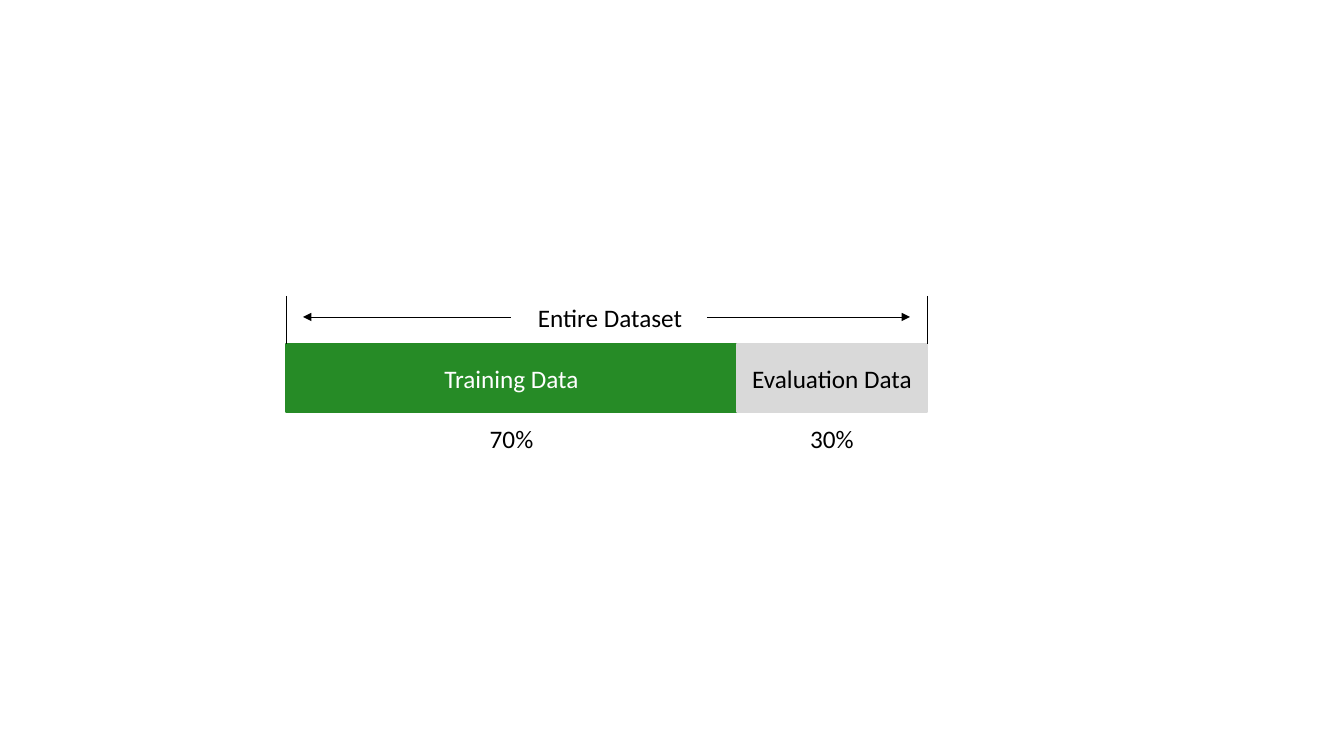
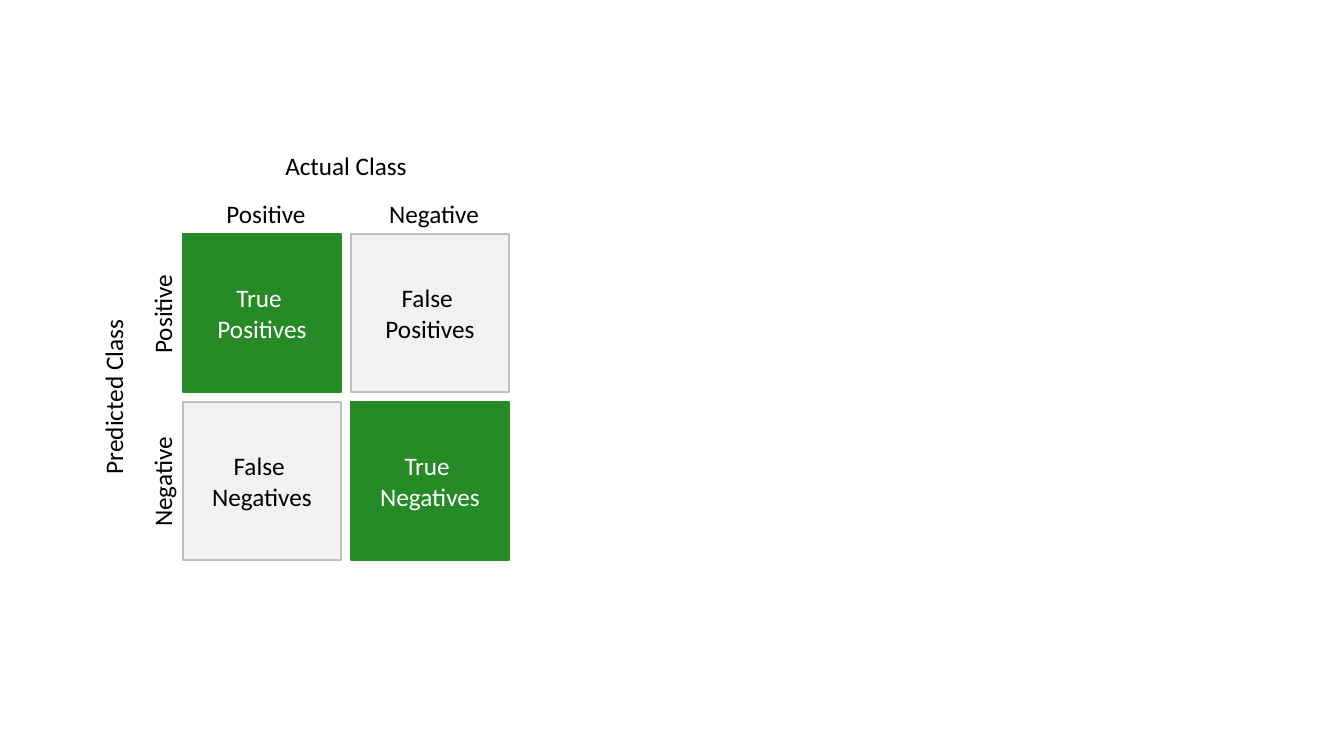
from pptx import Presentation
from pptx.dml.color import RGBColor
from pptx.enum.shapes import MSO_CONNECTOR as CONN, MSO_SHAPE as SHAPE
from pptx.enum.text import MSO_ANCHOR as ANCHOR, MSO_AUTO_SIZE as AUTO, PP_ALIGN as ALIGN
from pptx.oxml.ns import qn
from pptx.util import Emu, Pt
from lxml.etree import SubElement

PX_PER_INCH = 100.8
FONT, SIZE = "Calibri", 18
LABEL_H = 40
C = {
    "green": "268B26",
    "grey": "D9D9D9",
    "pale": "F2F2F2",
    "edge": "BFBFBF",
    "black": "000000",
    "white": "FFFFFF",
}


def px(n):
    """Turn pixels into EMU."""
    return Emu(round(n * 914400 / PX_PER_INCH))


def rgb(name):
    """Look up a palette colour."""
    return RGBColor.from_string(C[name])


def set_text(tf, text, color="black"):
    """Write centred text in the shared font."""
    tf.text = text
    for p in tf.paragraphs:
        p.alignment = ALIGN.CENTER
        for r in p.runs:
            r.font.name, r.font.size = FONT, Pt(SIZE)
            r.font.color.rgb = rgb(color)


def box(s, text, x, y, w, h, fill, edge, color):
    """Add a filled rectangle with text in its middle."""
    sp = s.shapes.add_shape(SHAPE.RECTANGLE, px(x), px(y), px(w), px(h))
    sp.shadow.inherit = False
    sp.fill.solid()
    sp.fill.fore_color.rgb = rgb(fill)
    sp.line.color.rgb = rgb(edge)
    sp.line.width = Pt(1)
    sp.text_frame.vertical_anchor = ANCHOR.MIDDLE
    set_text(sp.text_frame, text, color)


def label(s, text, cx, cy, w, rotation=0):
    """Add a one-line label centred on a point."""
    sp = s.shapes.add_textbox(px(cx - w / 2), px(cy - LABEL_H / 2), px(w), px(LABEL_H))
    sp.rotation = rotation
    tf = sp.text_frame
    tf.word_wrap = False
    tf.auto_size = AUTO.SHAPE_TO_FIT_TEXT
    set_text(tf, text)


def line(s, x1, y1, x2, y2, arrow=False):
    """Add a thin black line, with an arrowhead at its end if asked."""
    cn = s.shapes.add_connector(CONN.STRAIGHT, px(x1), px(y1), px(x2), px(y2))
    cn.line.color.rgb = rgb("black")
    cn.line.width = Pt(0.5)
    if arrow:
        SubElement(cn.line._get_or_add_ln(), qn("a:tailEnd"), type="triangle")
    SubElement(cn._element.spPr, qn("a:effectLst"))


def dataset_split(s):
    """Draw the dataset bar, its shares and its span."""
    left, top, height = 286, 344, 68
    span_top, span_y = 296, 317
    parts = [
        ("Training Data", "70%", 451, "green", "white"),
        ("Evaluation Data", "30%", 190, "grey", "black"),
    ]
    x = left
    for name, share, w, fill, color in parts:
        box(s, name, x, top, w, height, fill, fill, color)
        label(s, share, x + w / 2, 438, 64)
        x += w
    for end in (left, x):
        line(s, end, span_top, end, top)
    label(s, "Entire Dataset", 610, span_y, 166)
    line(s, 707, span_y, 910, span_y, arrow=True)
    line(s, 511, span_y, 303, span_y, arrow=True)


def confusion_matrix(s):
    """Draw the two-by-two matrix with its class labels."""
    left, top, cell, pitch = 183, 234, 158, 168
    middle = (pitch + cell) / 2
    classes = [("Positive", 101), ("Negative", 111)]
    cells = [["True \vPositives", "False \vPositives"],
             ["False \vNegatives", "True \vNegatives"]]
    for row, texts in enumerate(cells):
        for col, text in enumerate(texts):
            style = ("green", "green", "white") if row == col else ("pale", "edge", "black")
            box(s, text, left + col * pitch, top + row * pitch, cell, cell, *style)
    for i, (name, w) in enumerate(classes):
        offset = i * pitch + cell / 2
        label(s, name, left + offset + 4, 213, w)
        label(s, name, 162, top + offset + 1, w, rotation=270)
    label(s, "Actual Class", left + middle, 165, 143)
    label(s, "Predicted Class", 113, top + middle, 212, rotation=270)


def main():
    """Build and save the slides."""
    prs = Presentation()
    prs.slide_width, prs.slide_height = px(1344), px(756)
    blank = prs.slide_layouts[6]
    for draw in (dataset_split, confusion_matrix):
        draw(prs.slides.add_slide(blank))
    prs.save("out.pptx")


main()
